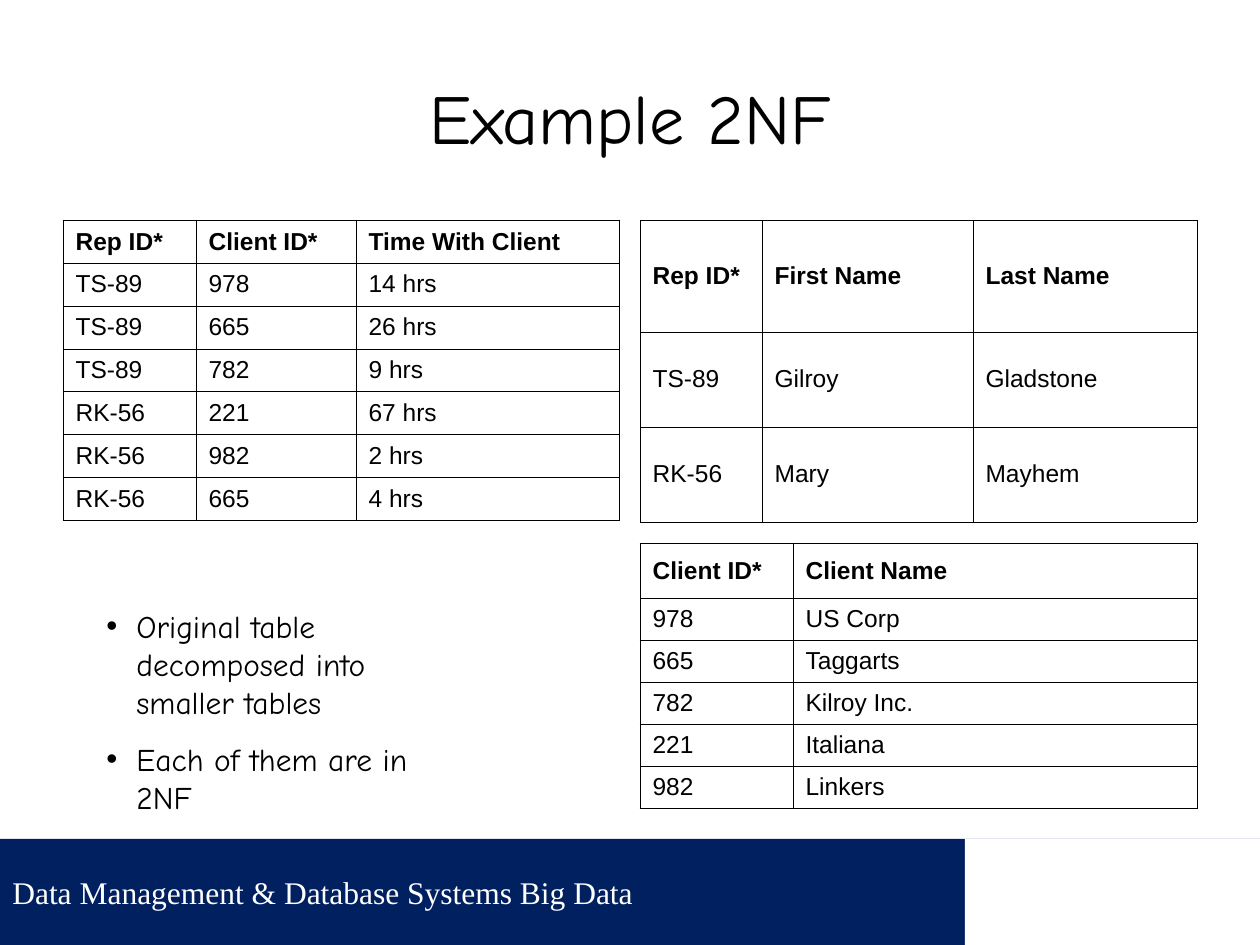
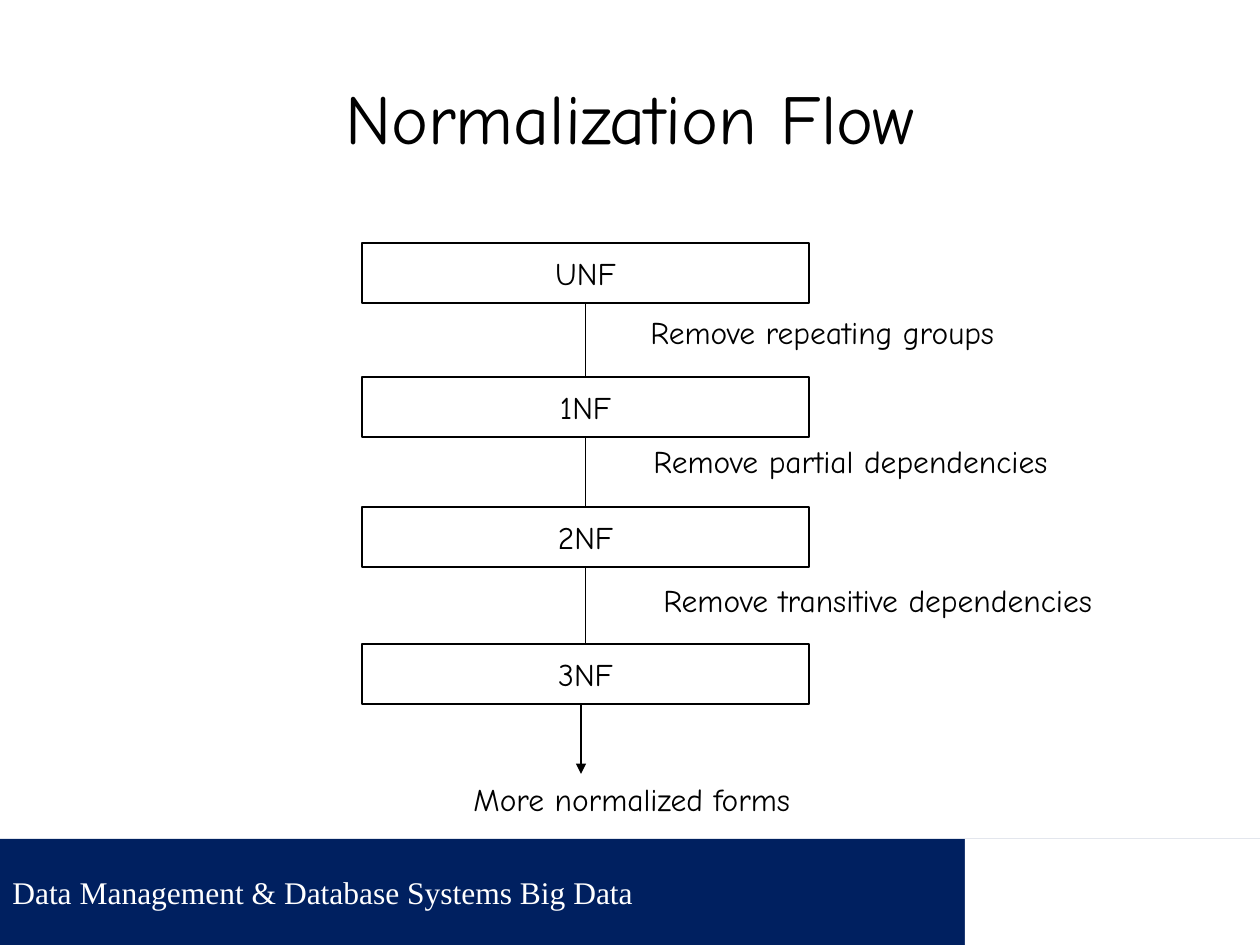
import pptx
import pptx.util
import pptx.dml.color
import pptx.enum.shapes
import pptx.enum.text
import pptx.oxml.ns
from lxml import etree

SCALE = 914400 / 126
COLORS = {"navy": "002060", "white": "FFFFFF", "black": "000000"}
HEAD_FONT, TABLE_FONT, BAND_FONT = "Comic Neue", "Arial", "Times New Roman"
RECT = pptx.enum.shapes.MSO_SHAPE.RECTANGLE
STRAIGHT = pptx.enum.shapes.MSO_CONNECTOR.STRAIGHT
MIDDLE = pptx.enum.text.MSO_ANCHOR.MIDDLE
LEFT = pptx.enum.text.PP_ALIGN.LEFT
CENTER = pptx.enum.text.PP_ALIGN.CENTER

VISITS = [
    ("Rep ID*", "Client ID*", "Time With Client"),
    ("TS-89", "978", "14 hrs"),
    ("TS-89", "665", "26 hrs"),
    ("TS-89", "782", "9 hrs"),
    ("RK-56", "221", "67 hrs"),
    ("RK-56", "982", "2 hrs"),
    ("RK-56", "665", "4 hrs"),
]
REPS = [
    ("Rep ID*", "First Name", "Last Name"),
    ("TS-89", "Gilroy", "Gladstone"),
    ("RK-56", "Mary", "Mayhem"),
]
CLIENTS = [
    ("Client ID*", "Client Name"),
    ("978", "US Corp"),
    ("665", "Taggarts"),
    ("782", "Kilroy Inc."),
    ("221", "Italiana"),
    ("982", "Linkers"),
]


def px(n):
    return pptx.util.Emu(round(n * SCALE))


def rgb(name):
    return pptx.dml.color.RGBColor.from_string(COLORS[name])


def sub(parent, tag, **attrs):
    return etree.SubElement(parent, pptx.oxml.ns.qn(tag), attrs)


def add_run(p, text, size, font, color="black", bold=False):
    r = p.add_run()
    r.text = text
    r.font.size = pptx.util.Pt(size)
    r.font.name = font
    r.font.bold = bold
    r.font.color.rgb = rgb(color)


def add_rect(s, box, fill, line=None):
    sp = s.shapes.add_shape(RECT, *map(px, box))
    sp.shadow.inherit = False
    sp.fill.solid()
    sp.fill.fore_color.rgb = rgb(fill)
    if line:
        sp.line.color.rgb = rgb(line)
        sp.line.width = pptx.util.Pt(0.75)
    else:
        sp.line.fill.background()
    sp.text_frame.vertical_anchor = MIDDLE
    return sp


def add_text(s, box, text, size=18, align=LEFT, wrap=False):
    sp = s.shapes.add_textbox(*map(px, box))
    tf = sp.text_frame
    tf.word_wrap = wrap
    p = tf.paragraphs[0]
    p.alignment = align
    add_run(p, text, size, HEAD_FONT)
    return tf


def add_line(s, x1, y1, x2, y2):
    cn = s.shapes.add_connector(STRAIGHT, px(x1), px(y1), px(x2), px(y2))
    cn.line.color.rgb = rgb("black")
    cn.line.width = pptx.util.Pt(0.75)
    sub(cn._element.spPr, "a:effectLst")
    return cn


def add_band(s, x, y, w, h):
    band = add_rect(s, (x, y, w, h), "navy")
    p = band.text_frame.paragraphs[0]
    p.alignment = LEFT
    add_run(p, "Data Management & Database Systems Big Data", 18, BAND_FONT, "white")
    logo_w = 295
    add_rect(s, (x + w - logo_w, y, logo_w, h), "white")


def add_base(prs, title):
    s = prs.slides.add_slide(prs.slide_layouts[6])
    add_band(s, 0, 839, 1260, 106)
    tf = add_text(s, (63, 38, 1134, 157), title, 40, CENTER, True)
    tf.vertical_anchor = MIDDLE
    return s


def style_cell(cell, text, bold, border):
    cell.vertical_anchor = MIDDLE
    tc_pr = cell._tc.get_or_add_tcPr()
    for side in ("a:lnL", "a:lnR", "a:lnT", "a:lnB"):
        ln = sub(tc_pr, side, w=str(pptx.util.Pt(border)))
        sub(sub(ln, "a:solidFill"), "a:srgbClr", val=COLORS["black"])
    cell.fill.background()
    add_run(cell.text_frame.paragraphs[0], text, 14, TABLE_FONT, bold=bold)


def add_grid(s, x, y, widths, head_h, row_h, rows, border=0.45):
    heights = [head_h] + [row_h] * (len(rows) - 1)
    box = (x, y, sum(widths), sum(heights))
    table = s.shapes.add_table(len(rows), len(widths), *map(px, box)).table
    table.horz_banding = False
    for col, w in zip(table.columns, widths):
        col.width = px(w)
    for i, (row, h) in enumerate(zip(rows, heights)):
        table.rows[i].height = px(h)
        for j, text in enumerate(rows[i]):
            style_cell(table.cell(i, j), text, i == 0, border)


def add_bullets(s, x, y, w, h, items):
    tf = s.shapes.add_textbox(*map(px, (x, y, w, h))).text_frame
    tf.word_wrap = True
    for i, text in enumerate(items):
        p = tf.paragraphs[0] if i == 0 else tf.add_paragraph()
        p_pr = p._p.get_or_add_pPr()
        p_pr.set("marL", str(px(30)))
        p_pr.set("indent", str(-px(30)))
        sub(p_pr, "a:buFont", typeface=TABLE_FONT)
        sub(p_pr, "a:buChar", char="•")
        if i:
            p.space_before = pptx.util.Pt(11.2)
        add_run(p, text, 18, HEAD_FONT)


def add_flow(s, x, y, w):
    box_h = 60
    forms = [("UNF", 0), ("1NF", 134), ("2NF", 264), ("3NF", 401)]
    boxes = []
    for name, dy in forms:
        sp = add_rect(s, (x, y + dy, w, box_h), "white", "black")
        p = sp.text_frame.paragraphs[0]
        p.alignment = CENTER
        add_run(p, name, 18, HEAD_FONT)
        boxes.append(sp)
    for upper, lower in zip(boxes, boxes[1:]):
        cn = add_line(s, x, y, x, y)
        cn.begin_connect(upper, 2)
        cn.end_connect(lower, 0)
    steps = [
        ("Remove repeating groups", 276, 64, 372),
        ("Remove partial dependencies", 279, 193, 421),
        ("Remove transitive dependencies", 289, 332, 456),
        ("More normalized forms", 99, 531, 344),
    ]
    for text, dx, dy, step_w in steps:
        add_text(s, (x + dx, y + dy, step_w, 50), text)
    arrow = add_line(s, x + 219, y + 461, x + 219, y + 531)
    sub(arrow.line._get_or_add_ln(), "a:tailEnd", type="triangle")


def example_slide(prs):
    s = add_base(prs, "Example 2NF")
    left, right, top = 63, 640, 220
    add_grid(s, left, top, (133, 160, 263), 43, 43, VISITS)
    add_grid(s, right, top, (122, 211, 224), 112, 95, REPS, 0.34)
    add_grid(s, right, 543, (153, 404), 55, 42, CLIENTS)
    add_bullets(s, 94, 601, 377, 184, [
        "Original table decomposed into smaller tables",
        "Each of them are in 2NF",
    ])


def flow_slide(prs):
    s = add_base(prs, "Normalization Flow")
    add_flow(s, 362, 243, 447)


def main():
    prs = pptx.Presentation()
    prs.slide_width, prs.slide_height = px(1260), px(945)
    example_slide(prs)
    flow_slide(prs)
    prs.save("out.pptx")


if __name__ == "__main__":
    main()
